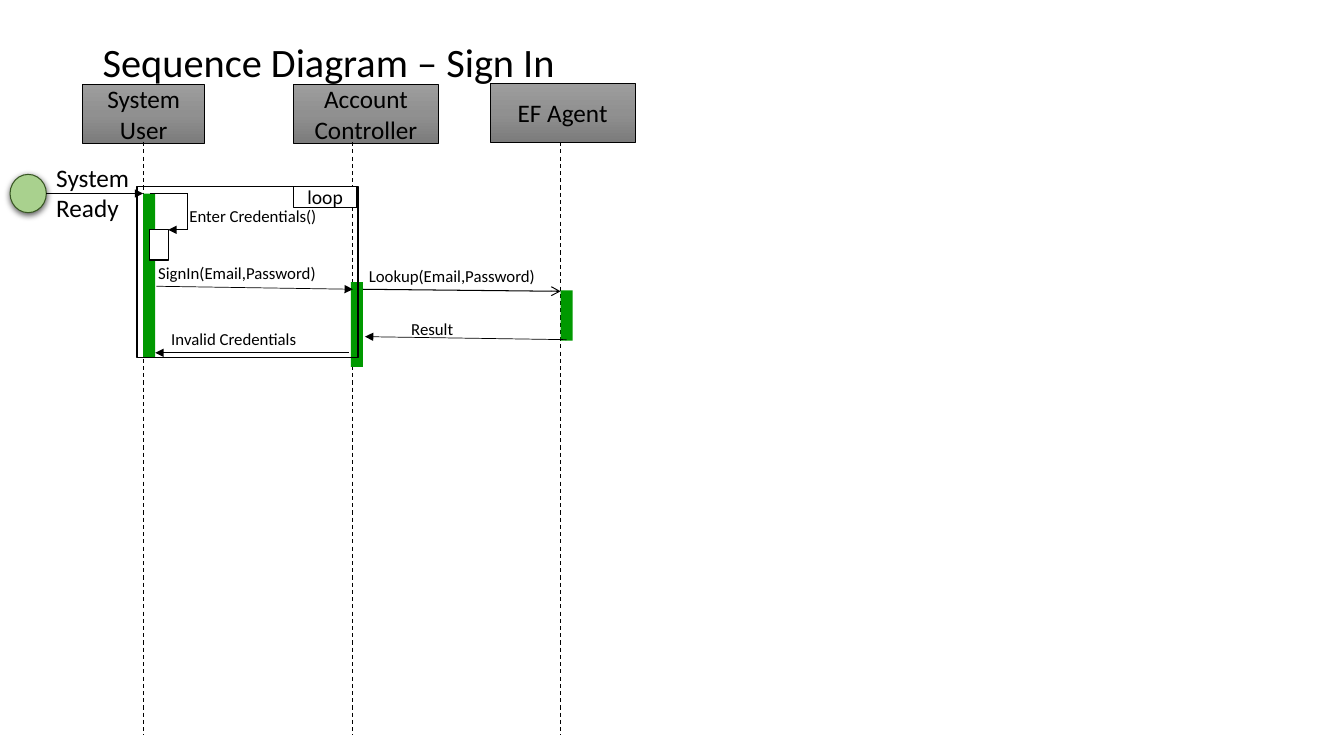
import copy

import pptx
import pptx.dml.color
import pptx.enum.dml
import pptx.enum.shapes
import pptx.enum.text
import pptx.oxml
import pptx.oxml.ns
import pptx.util

# The grid: one column and one row are an inch each.
COLUMNS, ROWS = 13.33, 7.5
FONT = "Calibri"
BLACK, WHITE = "000000", "FFFFFF"
ACTIVE_GREEN, START_GREEN, START_EDGE = "009900", "A9D18E", "385723"
HEADER_STOPS = [(0, "9D9D9D"), (0.5, "909090"), (1, "7C7C7C")]
BAR_WIDTH = 0.12
LIFELINE_TOP, LIFELINE_BOTTOM = 1.41, 7.29
USER, CONTROLLER, AGENT = 1.42, 3.5, 5.56
START_ROW = 1.92
SELF_CALL_ROW, SELF_CALL_RIGHT = 2.28, 1.86

RECTANGLE = pptx.enum.shapes.MSO_SHAPE.RECTANGLE
OVAL = pptx.enum.shapes.MSO_SHAPE.OVAL
MIDDLE = pptx.enum.text.MSO_ANCHOR.MIDDLE
TOP = pptx.enum.text.MSO_ANCHOR.TOP
CENTER = pptx.enum.text.PP_ALIGN.CENTER


def grid(*cells):
    """Turn grid columns or rows into slide lengths."""
    return [pptx.util.Inches(cell) for cell in cells]


def color(hex_text):
    """Turn a hex string into a colour."""
    return pptx.dml.color.RGBColor.from_string(hex_text)


def drawing_xml(tag, content="", attributes=""):
    """Build one DrawingML element."""
    namespace = pptx.oxml.ns.nsdecls("a")
    return pptx.oxml.parse_xml(f"<a:{tag} {namespace} {attributes}>{content}</a:{tag}>")


def write(shape, text, size, align=None, anchor=MIDDLE):
    """Put one formatted paragraph into a shape."""
    frame = shape.text_frame
    frame.text = text
    frame.word_wrap = True
    frame.vertical_anchor = anchor
    para = frame.paragraphs[0]
    para.alignment = align
    for span in para.runs:
        span.font.name = FONT
        span.font.size = pptx.util.Pt(size)
        span.font.color.rgb = color(BLACK)
    return para


def add_label(page, text, place, size=12, anchor=TOP):
    """Add a text box and return its paragraph."""
    box = page.shapes.add_textbox(*grid(*place))
    return write(box, text, size, anchor=anchor)


def add_box(page, place, fill=None, edge=None, width=1, preset=RECTANGLE):
    """Add a flat shape with optional fill and outline."""
    box = page.shapes.add_shape(preset, *grid(*place))
    box.shadow.inherit = False
    if fill:
        box.fill.solid()
        box.fill.fore_color.rgb = color(fill)
    else:
        box.fill.background()
    if edge:
        box.line.color.rgb = color(edge)
        box.line.width = pptx.util.Pt(width)
    else:
        box.line.fill.background()
    return box


def add_header(page, text, place):
    """Add a participant's box with a three-stop grey gradient."""
    box = add_box(page, place, edge=BLACK, width=0.5)
    box.fill.gradient()
    box.fill.gradient_angle = 270
    stop_list = box.element.xpath(".//a:gsLst")[0]
    stop_list.insert(1, copy.deepcopy(stop_list[0]))
    for stop, (position, shade) in zip(box.fill.gradient_stops, HEADER_STOPS):
        stop.position = position
        stop.color.rgb = color(shade)
    write(box, text, 18, CENTER)


def add_line(page, start, end, width=0.5, head=None, dashed=False):
    """Add a straight line, dashed or with an arrowhead at its end."""
    line = page.shapes.add_connector(
        pptx.enum.shapes.MSO_CONNECTOR.STRAIGHT, *grid(*start, *end))
    line.line.color.rgb = color(BLACK)
    line.line.width = pptx.util.Pt(width)
    if dashed:
        line.line.dash_style = pptx.enum.dml.MSO_LINE.DASH
    if head:
        line.element.spPr.ln.append(drawing_xml("tailEnd", attributes=f'type="{head}"'))
    line.element.spPr.append(drawing_xml("effectLst"))


def add_start(page):
    """Add the start circle with its soft shadow."""
    circle = add_box(page, (0.1, 1.73, 0.36, 0.38), START_GREEN, START_EDGE, 0.75, OVAL)
    effects = circle.element.spPr.find(pptx.oxml.ns.qn("a:effectLst"))
    effects.append(drawing_xml(
        "outerShdw",
        f'<a:srgbClr val="{BLACK}"><a:alpha val="63000"/></a:srgbClr>',
        'blurRad="57150" dist="19050" dir="5400000" algn="ctr" rotWithShape="0"'))


def add_activation(page, left, top, height):
    """Add a green activation bar."""
    add_box(page, (left, top, BAR_WIDTH, height), ACTIVE_GREEN)


def add_self_call(page):
    """Add the user's call to itself: a small box and a three-part arrow."""
    add_box(page, (1.48, SELF_CALL_ROW, 0.19, 0.3), WHITE, BLACK)
    corners = [(1.49, START_ROW), (SELF_CALL_RIGHT, START_ROW),
               (SELF_CALL_RIGHT, SELF_CALL_ROW), (1.67, SELF_CALL_ROW)]
    for start, end, head in zip(corners, corners[1:], (None, None, "triangle")):
        add_line(page, start, end, head=head)
    add_label(page, "Enter Credentials()", (1.78, 1.99, 1.82, 0.3))


def main():
    """Build the sign-in sequence diagram."""
    deck = pptx.Presentation()
    deck.slide_width, deck.slide_height = grid(COLUMNS, ROWS)
    page = deck.slides.add_slide(deck.slide_layouts[6])

    title = add_label(page, "Sequence Diagram – Sign In", (0.92, 0.4, 9.87, 0.47),
                      28.8, MIDDLE)
    title.line_spacing = 0.9

    participants = [("System User", 0.82, 0.84, 1.21, USER),
                    ("Account Controller", 2.91, 0.84, 1.44, CONTROLLER),
                    ("EF Agent", 4.86, 0.83, 1.44, AGENT)]
    for name, left, top, width, lifeline in participants:
        add_header(page, name, (left, top, width, 0.58))
        add_line(page, (lifeline, LIFELINE_TOP), (lifeline, LIFELINE_BOTTOM),
                 0.75, dashed=True)

    add_start(page)
    add_line(page, (0.46, START_ROW), (USER, START_ROW), head="triangle")
    add_label(page, "System Ready", (0.46, 1.56, 0.97, 0.71), 18)

    for left, top, height in [(USER, START_ROW, 1.63), (3.48, 2.8, 0.84),
                              (AGENT, 2.88, 0.5)]:
        add_activation(page, left, top, height)
    add_self_call(page)

    messages = [
        ("SignIn(Email,Password)", 1.47, 2.56, (1.55, 2.84), (CONTROLLER, 2.87), 0.5, "triangle"),
        ("Lookup(Email,Password)", 3.56, 2.59, (3.6, 2.87), (AGENT, 2.89), 0.75, "arrow"),
        ("Result", 3.98, 3.11, (5.62, 3.37), (3.62, 3.34), 0.5, "triangle"),
        ("Invalid Credentials", 1.6, 3.21, (3.46, 3.5), (1.54, 3.5), 0.5, "triangle"),
    ]
    for text, left, top, start, end, width, head in messages:
        add_line(page, start, end, width, head)
        add_label(page, text, (left, top, 1.99, 0.3))

    add_box(page, (1.36, 1.85, 2.19, 1.7), edge=BLACK)
    loop_tag = add_box(page, (2.91, 1.85, 0.63, 0.21), WHITE, BLACK)
    write(loop_tag, "loop", 14, CENTER)

    deck.save("out.pptx")


main()
